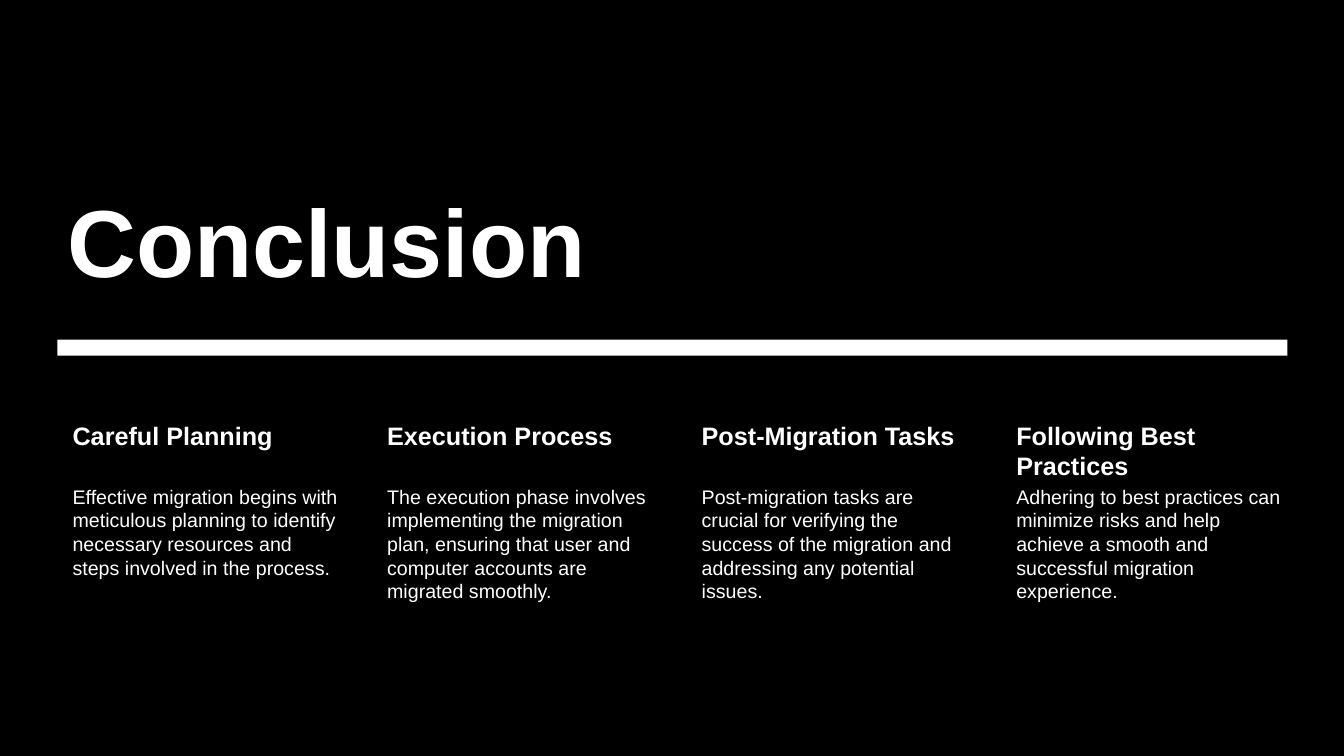
"""Build the Conclusion slide: a title, a thick rule and four columns of takeaways."""
import pptx
import pptx.dml.color
import pptx.enum.shapes
import pptx.enum.text
import pptx.util

Inches = pptx.util.Inches
BLACK = pptx.dml.color.RGBColor(0x00, 0x00, 0x00)
WHITE = pptx.dml.color.RGBColor(0xFF, 0xFF, 0xFF)

SLIDE_WIDTH, SLIDE_HEIGHT = 13.33, 7.5
LEFT, WIDTH = 0.57, 12.2
COLUMN_WIDTH, COLUMN_STEP = 2.84, 3.12
HEADING_TOP, HEADING_HEIGHT = 4.14, 0.65
BODY_HEIGHT = 2.04

TAKEAWAYS = [
    ("Careful Planning",
     "Effective migration begins with meticulous planning to identify "
     "necessary resources and steps involved in the process."),
    ("Execution Process",
     "The execution phase involves implementing the migration plan, ensuring "
     "that user and computer accounts are migrated smoothly."),
    ("Post-Migration Tasks",
     "Post-migration tasks are crucial for verifying the success of the "
     "migration and addressing any potential issues."),
    ("Following Best Practices",
     "Adhering to best practices can minimize risks and help achieve a smooth "
     "and successful migration experience."),
]


def write_text(box, text, size, bold=False, anchor=pptx.enum.text.MSO_ANCHOR.TOP,
               left_inset=0.1, inset=0.05):
    frame = box.text_frame
    frame.word_wrap = True
    frame.auto_size = pptx.enum.text.MSO_AUTO_SIZE.NONE
    frame.vertical_anchor = anchor
    frame.margin_left = Inches(left_inset)
    frame.margin_top = frame.margin_right = frame.margin_bottom = Inches(inset)
    para = frame.paragraphs[0]
    para.alignment = pptx.enum.text.PP_ALIGN.LEFT
    para.line_spacing = 1.0
    span = para.add_run()
    span.text = text
    span.font.name = "Arial"
    span.font.size = pptx.util.Pt(size)
    span.font.bold = bold
    span.font.color.rgb = WHITE


deck = pptx.Presentation()
deck.slide_width = Inches(SLIDE_WIDTH)
deck.slide_height = Inches(SLIDE_HEIGHT)
page = deck.slides.add_slide(deck.slide_layouts.get_by_name("Title Only"))
page.background.fill.solid()
page.background.fill.fore_color.rgb = BLACK

title = page.shapes.title
title.left, title.top = Inches(LEFT), Inches(1.45)
title.width, title.height = Inches(WIDTH), Inches(1.54)
write_text(title, "Conclusion", 68, bold=True, anchor=pptx.enum.text.MSO_ANCHOR.BOTTOM)

for left, top, width, height, color in [
    (0, 0, SLIDE_WIDTH, SLIDE_HEIGHT, BLACK),
    (LEFT, 3.37, WIDTH, 0.16, WHITE),
]:
    panel = page.shapes.add_shape(
        pptx.enum.shapes.MSO_SHAPE.RECTANGLE,
        Inches(left), Inches(top), Inches(width), Inches(height))
    panel.shadow.inherit = False
    panel.fill.solid()
    panel.fill.fore_color.rgb = color
    panel.line.fill.background()

title.element.getparent().append(title.element)

for column, (heading, body) in enumerate(TAKEAWAYS):
    column_left = Inches(LEFT + column * COLUMN_STEP)
    heading_box = page.shapes.add_textbox(
        column_left, Inches(HEADING_TOP), Inches(COLUMN_WIDTH), Inches(HEADING_HEIGHT))
    write_text(heading_box, heading, 18, bold=True, left_inset=0.15, inset=0.03)
    body_box = page.shapes.add_textbox(
        column_left, Inches(HEADING_TOP + HEADING_HEIGHT),
        Inches(COLUMN_WIDTH), Inches(BODY_HEIGHT))
    write_text(body_box, body, 14, left_inset=0.15, inset=0.02)

deck.save("out.pptx")
